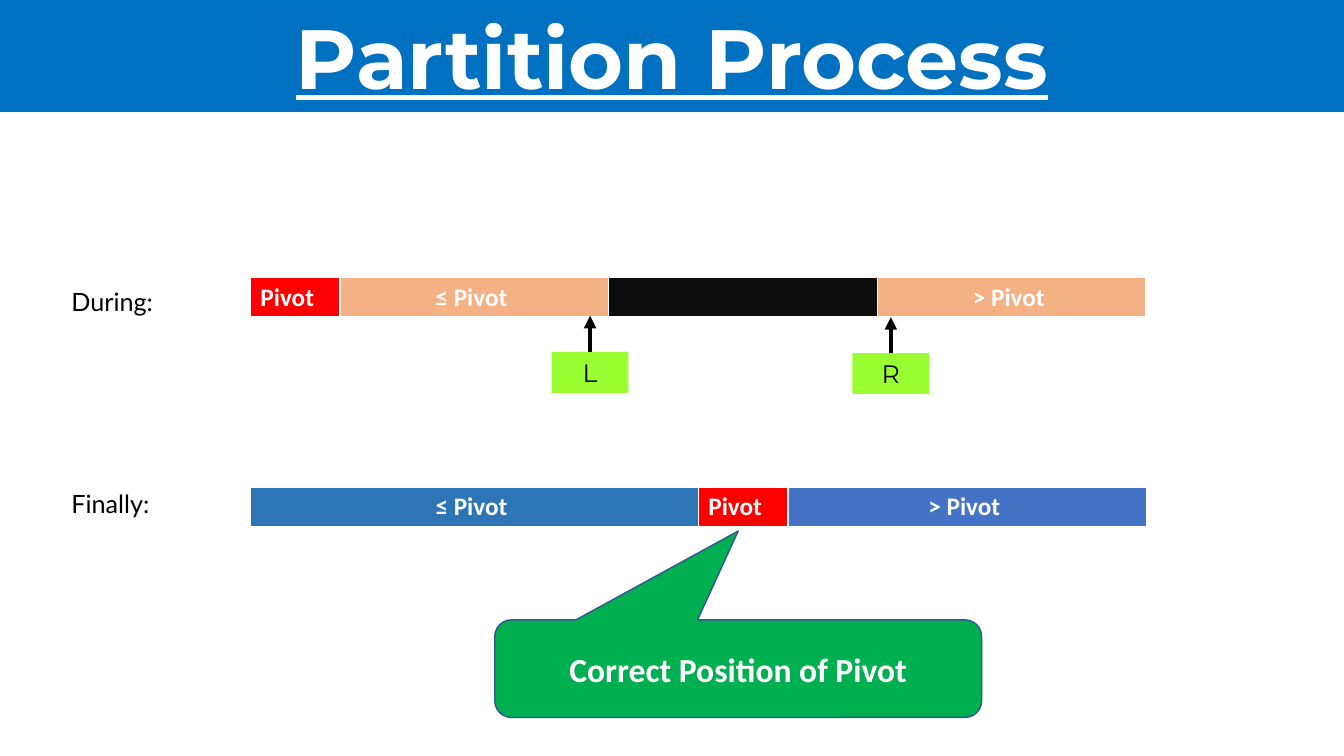
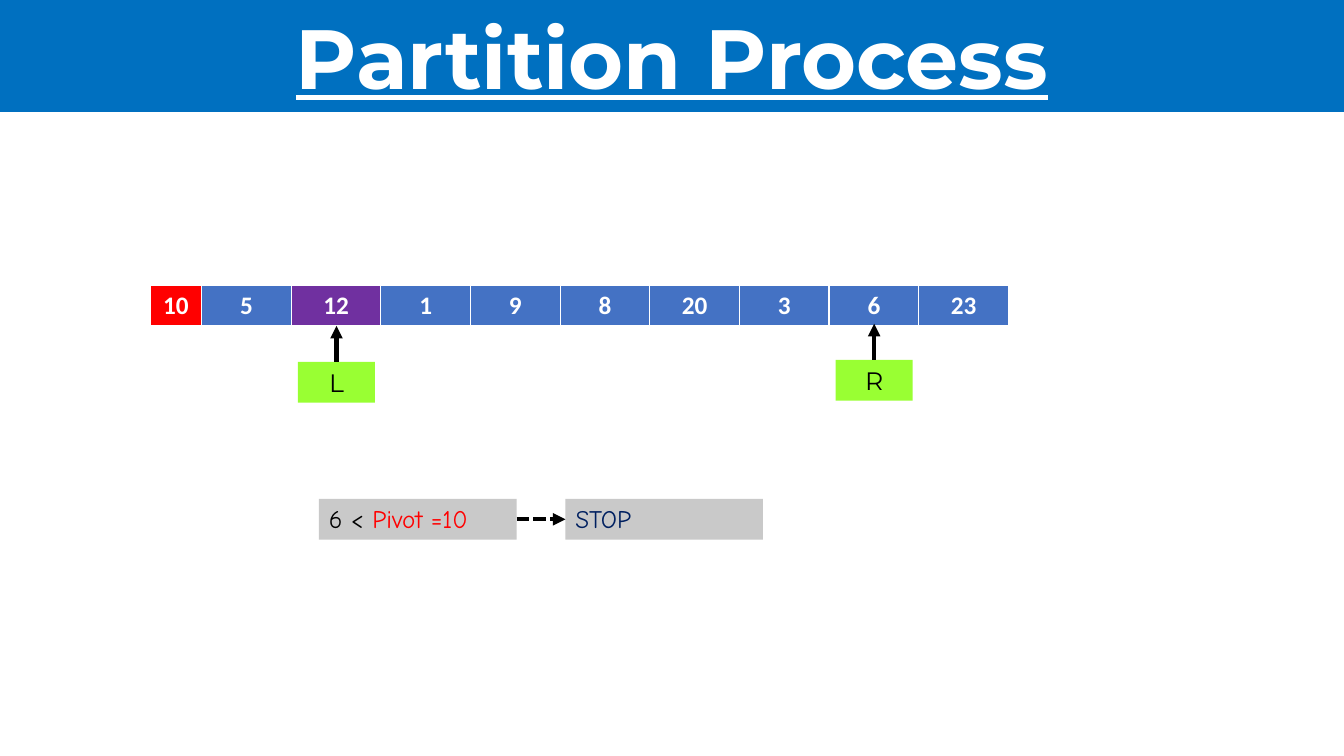
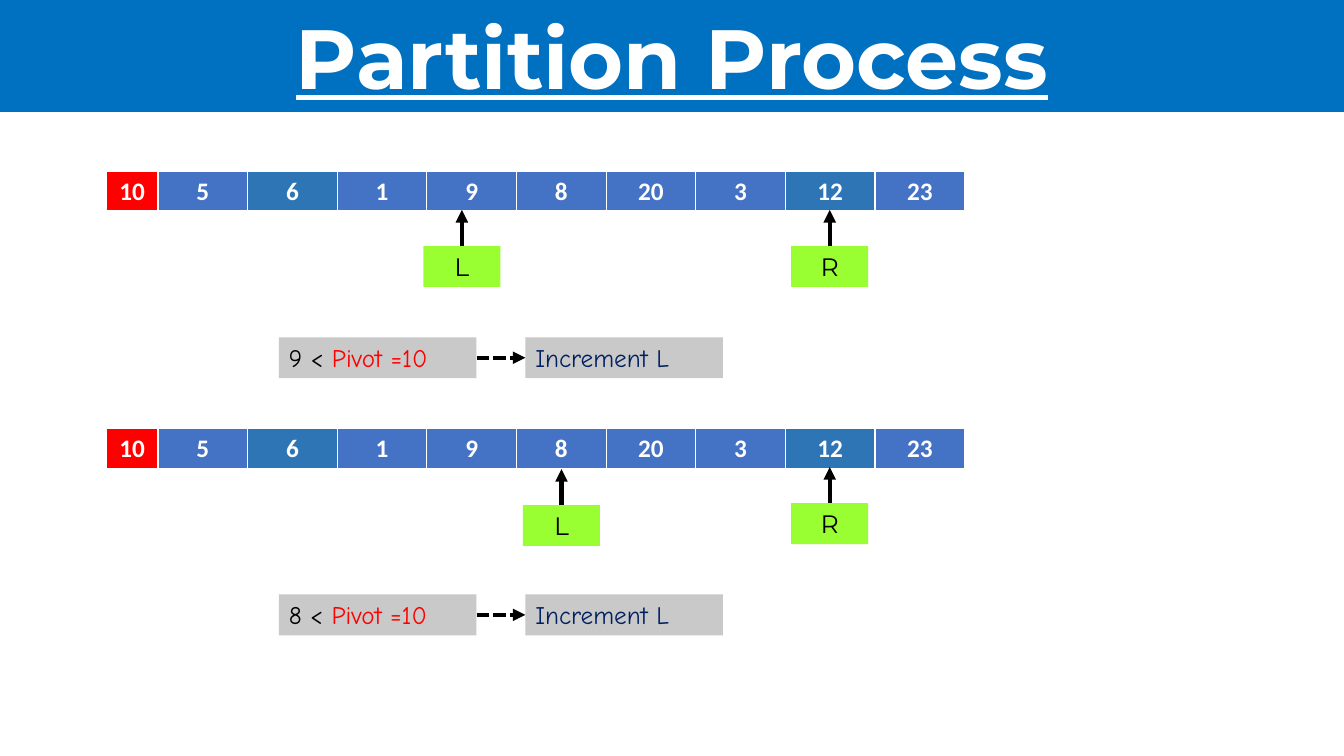
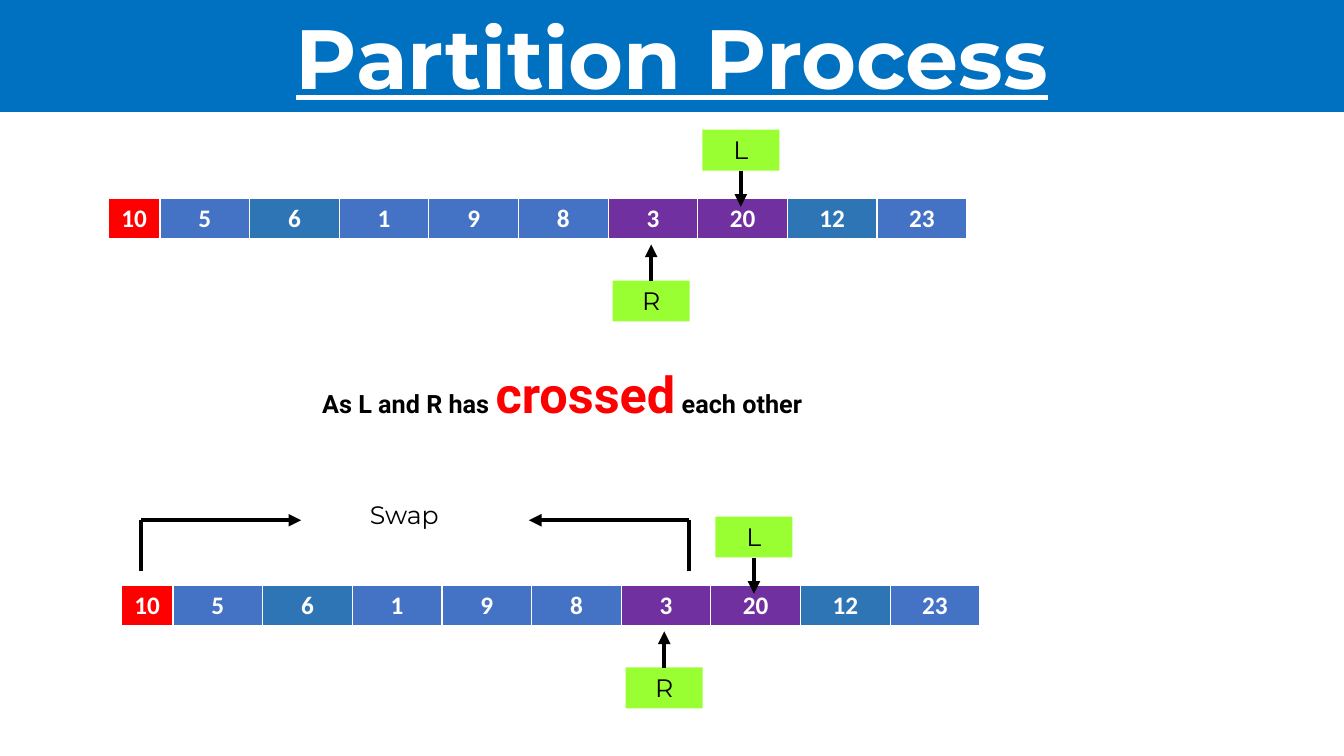
"""Build four slides that walk through the partition process of quicksort."""
from dataclasses import dataclass

from lxml.etree import SubElement
from pptx import Presentation
from pptx.dml.color import RGBColor as Rgb
from pptx.enum.dml import MSO_LINE as Dash
from pptx.enum.shapes import MSO_CONNECTOR as Connector, MSO_SHAPE as Preset
from pptx.enum.text import MSO_ANCHOR as Anchor, MSO_AUTO_SIZE as AutoSize, PP_ALIGN as Align
from pptx.oxml import parse_xml
from pptx.oxml.ns import nsdecls, qn
from pptx.presentation import Presentation as Deck
from pptx.slide import Slide
from pptx.text.text import TextFrame
from pptx.util import Cm, Pt


@dataclass(frozen=True)
class Theme:
    white: str = "FFFFFF"
    black: str = "000000"
    band: str = "0070C0"
    red: str = "FF0000"
    blue: str = "4472C4"
    swapped: str = "2E75B6"
    purple: str = "7030A0"
    peach: str = "F4B183"
    unknown: str = "0D0D0D"
    lime: str = "99FF33"
    grey: str = "C9C9C9"
    navy: str = "002060"
    green: str = "00B050"
    outline: str = "325491"
    heading: str = "Montserrat"
    table: str = "Calibri"
    rule: str = "Comic Neue"
    label: str = "Lato"
    remark: str = "Roboto"
    title_size: int = 60
    large_size: int = 36
    callout_size: int = 24
    body_size: int = 18


THEME = Theme()
SLIDE_WIDTH, SLIDE_HEIGHT, BAND_HEIGHT = 33.87, 19.05, 2.82
ROW_HEIGHT, PIVOT_WIDTH, VALUE_WIDTH = 1.03, 1.3, 2.26
TAG_WIDTH, ARROW_LENGTH = 1.94, 0.91
RULE_WIDTH, RULE_GAP = 4.98, 1.23


@dataclass(frozen=True)
class Area:
    left: float
    top: float
    width: float
    height: float = ROW_HEIGHT


@dataclass(frozen=True)
class Span:
    text: str
    font: str
    color: str = THEME.black
    size: int = THEME.body_size
    bold: bool = False
    underline: bool = False


@dataclass(frozen=True)
class Segment:
    text: str
    fill: str
    width: float
    align: Align = Align.CENTER


@dataclass(frozen=True)
class Pointer:
    name: str
    center: float
    top: float
    points_down: bool = False


def write(frame: TextFrame, spans: list[Span], align: Align = Align.LEFT) -> None:
    para = frame.paragraphs[0]
    para.alignment = align
    for span in spans:
        run = para.add_run()
        run.text = span.text
        font = run.font
        font.name, font.size = span.font, Pt(span.size)
        font.bold, font.underline = span.bold, span.underline
        font.color.rgb = Rgb.from_string(span.color)


def add_page(deck: Deck) -> Slide:
    page = deck.slides.add_slide(deck.slide_layouts[5])
    title = page.shapes.title
    title.left, title.top = Cm(0), Cm(0)
    title.width, title.height = Cm(SLIDE_WIDTH), Cm(BAND_HEIGHT)
    title.fill.solid()
    title.fill.fore_color.rgb = Rgb.from_string(THEME.band)
    frame = title.text_frame
    frame.auto_size, frame.vertical_anchor = AutoSize.NONE, Anchor.TOP
    write(frame, [Span("Partition Process", THEME.heading, THEME.white,
                       THEME.title_size, True, True)], Align.CENTER)
    return page


def add_box(page: Slide, area: Area, spans: list[Span], fill: str | None = None,
            align: Align = Align.LEFT) -> None:
    bounds = Cm(area.left), Cm(area.top), Cm(area.width), Cm(area.height)
    if fill:
        box = page.shapes.add_shape(Preset.RECTANGLE, *bounds)
        box.shadow.inherit = False
        box.fill.solid()
        box.fill.fore_color.rgb = Rgb.from_string(fill)
        box.line.fill.background()
    else:
        box = page.shapes.add_textbox(*bounds)
    frame = box.text_frame
    frame.word_wrap, frame.vertical_anchor = True, Anchor.TOP
    frame.auto_size = AutoSize.SHAPE_TO_FIT_TEXT
    write(frame, spans, align)


def add_line(page: Slide, start: tuple[float, float], end: tuple[float, float],
             arrow: bool = True, dashed: bool = False) -> None:
    line = page.shapes.add_connector(Connector.STRAIGHT, *map(Cm, start + end))
    line.line.color.rgb = Rgb.from_string(THEME.black)
    line.line.width = Pt(3)
    if dashed:
        line.line.dash_style = Dash.SQUARE_DOT
    properties = line.element.spPr
    if arrow:
        SubElement(properties.find(qn("a:ln")), qn("a:tailEnd"), type="triangle")
    SubElement(properties, qn("a:effectLst"))


def add_bar(page: Slide, left: float, top: float, segments: list[Segment]) -> None:
    width = sum(segment.width for segment in segments)
    table = page.shapes.add_table(1, len(segments), Cm(left), Cm(top),
                                  Cm(width), Cm(ROW_HEIGHT)).table
    table.horz_banding = False
    for column, segment in enumerate(segments):
        table.columns[column].width = Cm(segment.width)
        cell = table.cell(0, column)
        cell.fill.solid()
        cell.fill.fore_color.rgb = Rgb.from_string(segment.fill)
        if segment.text:
            write(cell.text_frame, [Span(segment.text, THEME.table, THEME.white, bold=True)],
                  segment.align)
        properties = cell._tc.get_or_add_tcPr()
        for place, (side, points) in enumerate({"L": 1, "R": 1, "T": 1, "B": 3}.items()):
            properties.insert(place, parse_xml(
                f'<a:ln{side} {nsdecls("a")} w="{Pt(points)}"><a:solidFill>'
                f'<a:srgbClr val="{THEME.white}"/></a:solidFill></a:ln{side}>'))


def add_numbers(page: Slide, left: float, top: float, values: str, marks: dict[str, str]) -> None:
    pivot, *others = values.split()
    segments = [Segment(pivot, THEME.red, PIVOT_WIDTH)]
    segments += [Segment(value, marks.get(value, THEME.blue), VALUE_WIDTH) for value in others]
    add_bar(page, left, top, segments)


def add_pointer(page: Slide, pointer: Pointer) -> None:
    add_box(page, Area(pointer.center - TAG_WIDTH / 2, pointer.top, TAG_WIDTH),
            [Span(pointer.name, THEME.heading)], THEME.lime, Align.CENTER)
    start = pointer.top + (ROW_HEIGHT if pointer.points_down else 0)
    end = start + (ARROW_LENGTH if pointer.points_down else -ARROW_LENGTH)
    add_line(page, (pointer.center, start), (pointer.center, end))


def add_rule(page: Slide, left: float, top: float, value: str, action: str) -> None:
    action_left = left + RULE_WIDTH + RULE_GAP
    middle = top + ROW_HEIGHT / 2
    add_box(page, Area(left, top, RULE_WIDTH),
            [Span(f"{value} < ", THEME.rule), Span("Pivot =10", THEME.rule, THEME.red)],
            THEME.grey)
    add_box(page, Area(action_left, top, RULE_WIDTH),
            [Span(action, THEME.rule, THEME.navy)], THEME.grey)
    add_line(page, (left + RULE_WIDTH, middle), (action_left, middle), dashed=True)


def add_callout(page: Slide, area: Area, text: str) -> None:
    callout = page.shapes.add_shape(Preset.ROUNDED_RECTANGULAR_CALLOUT, Cm(area.left),
                                    Cm(area.top), Cm(area.width), Cm(area.height))
    callout.shadow.inherit = False
    for index, value in enumerate((0, -1.41, 0.17)):
        callout.adjustments[index] = value
    callout.fill.solid()
    callout.fill.fore_color.rgb = Rgb.from_string(THEME.green)
    callout.line.color.rgb = Rgb.from_string(THEME.outline)
    callout.line.width = Pt(1)
    callout.text_frame.vertical_anchor = Anchor.MIDDLE
    write(callout.text_frame,
          [Span(text, THEME.table, THEME.white, THEME.callout_size, True)], Align.CENTER)


def build_overview(deck: Deck) -> None:
    page = add_page(deck)
    pivot = Segment("Pivot", THEME.red, VALUE_WIDTH, Align.LEFT)
    during = [pivot, Segment("≤ Pivot ", THEME.peach, 6.77),
              Segment("", THEME.unknown, 6.77), Segment("> Pivot ", THEME.peach, 6.77)]
    finally_bar = [Segment("≤ Pivot ", THEME.swapped, 11.29), pivot,
                   Segment("> Pivot ", THEME.blue, 9.03)]
    for label, label_top, bar_top, segments in (("During:", 7.09, 6.98, during),
                                                ("Finally:", 12.17, 12.27, finally_bar)):
        add_box(page, Area(1.55, label_top, 4.78), [Span(label, THEME.label)])
        add_bar(page, 6.31, bar_top, segments)
    add_pointer(page, Pointer("L", 14.87, 8.87))
    add_pointer(page, Pointer("R", 22.45, 8.9))
    add_callout(page, Area(12.47, 15.62, 12.27, 2.46), "Correct Position of Pivot")


def build_stop(deck: Deck) -> None:
    page = add_page(deck)
    add_numbers(page, 3.78, 7.2, "10 5 12 1 9 8 20 3 6 23", {"12": THEME.purple})
    add_pointer(page, Pointer("L", 8.48, 9.12))
    add_pointer(page, Pointer("R", 22.03, 9.07))
    add_rule(page, 8.04, 12.57, "6", "STOP")


def build_increment(deck: Deck) -> None:
    page = add_page(deck)
    marks = {"6": THEME.swapped, "12": THEME.swapped}
    for top, value, left_pointer in ((4.32, "9", Pointer("L", 11.64, 6.2)),
                                     (10.8, "8", Pointer("L", 14.15, 12.73))):
        add_numbers(page, 2.68, top, "10 5 6 1 9 8 20 3 12 23", marks)
        add_pointer(page, left_pointer)
        add_pointer(page, Pointer("R", 20.91, top + 1.88))
        add_rule(page, 7.03, top + 4.18, value, "Increment L")


def build_crossed(deck: Deck) -> None:
    page = add_page(deck)
    marks = {"6": THEME.swapped, "12": THEME.swapped, "3": THEME.purple, "20": THEME.purple}
    for left, top in ((2.73, 5.01), (3.06, 14.76)):
        add_numbers(page, left, top, "10 5 6 1 9 8 3 20 12 23", marks)
        add_pointer(page, Pointer("L", left + 15.94, top - 1.74, True))
        add_pointer(page, Pointer("R", left + 13.68, top + 2.06))
    add_box(page, Area(7.87, 9.02, 16.48, 1.8), [
        Span("As L and R has ", THEME.remark, bold=True),
        Span("crossed", THEME.remark, THEME.red, THEME.large_size, True),
        Span(" each other", THEME.remark, bold=True)])
    for corner, tip in ((3.56, 7.59), (17.37, 13.33)):
        add_line(page, (corner, 14.4), (corner, 13.11), arrow=False)
        add_line(page, (corner, 13.11), (tip, 13.11))
    add_box(page, Area(9.07, 12.47, 2.79), [Span("Swap", THEME.heading)])


def main() -> None:
    deck = Presentation()
    deck.slide_width, deck.slide_height = Cm(SLIDE_WIDTH), Cm(SLIDE_HEIGHT)
    for build in (build_overview, build_stop, build_increment, build_crossed):
        build(deck)
    deck.save("out.pptx")


if __name__ == "__main__":
    main()
